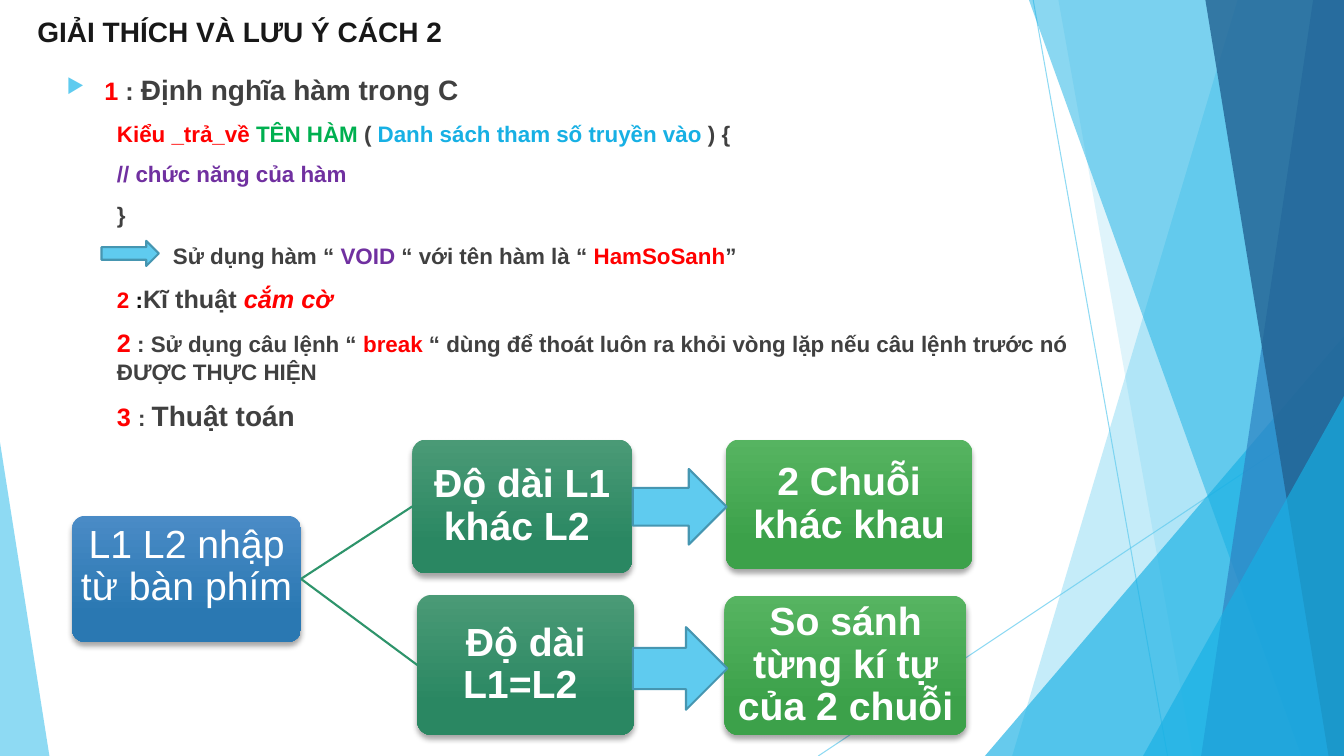
import lxml.etree
import pptx
import pptx.dml.color
import pptx.enum.shapes
import pptx.enum.text
import pptx.oxml.ns
import pptx.util

Pt = pptx.util.Pt
qn = pptx.oxml.ns.qn
SHAPES = pptx.enum.shapes.MSO_SHAPE
ANCHOR = pptx.enum.text.MSO_ANCHOR
CENTER = pptx.enum.text.PP_ALIGN.CENTER

FONT = "Arial"
WIDTH, HEIGHT = 960, 540
SKY, AZURE, RED, GRAY, PURPLE = "5FCBEF", "17B0E4", "FF0000", "404040", "7030A0"
BLUE_BOX = ("4A8BC6", "2A78B2")
TEAL_BOX = ("4A9A76", "2A8762")
GREEN_BOX = ("56B461", "3CA14A")

BODY = [
    (27, [("1", 18, RED), (" : ", 18, GRAY), ("Định nghĩa hàm trong C", 20, GRAY)]),
    (36, [("Kiểu _trả_về ", 16, RED), ("TÊN HÀM ", 16, "00B050"), ("( ", 16, GRAY),
          ("Danh sách tham số truyền vào", 16, AZURE), (" ) {", 16, GRAY)]),
    (36, [("// chức năng của hàm", 16, PURPLE)]),
    (36, [("}", 16, GRAY)]),
    (76, [("Sử dụng hàm “ ", 16, GRAY), ("VOID", 16, PURPLE),
          (" “ với tên hàm là “ ", 16, GRAY), ("HamSoSanh", 16, RED), ("”", 16, GRAY)]),
    (36, [("2 ", 16, RED), (":", 16, "0D0D0D"), ("Kĩ thuật ", 18, GRAY),
          ("cắm cờ", 18, RED)]),
    (36, [("2", 18, RED), (" ", 16, RED), (": Sử dụng câu lệnh “ ", 16, GRAY),
          ("break", 16, RED),
          (" “ dùng để thoát luôn ra khỏi vòng lặp nếu câu lệnh trước nó "
           "ĐƯỢC THỰC HIỆN", 16, GRAY)]),
    (36, [("3 ", 18, RED), (": ", 16, GRAY), ("Thuật toán", 20, GRAY)]),
]


def rgb(color):
    """Turn a hex string into a colour."""
    return pptx.dml.color.RGBColor.from_string(color)


def add_element(parent, tag, **attributes):
    """Append a drawing element with the given attributes."""
    element = lxml.etree.SubElement(parent, qn(tag))
    for name, value in attributes.items():
        element.set(name, str(value))
    return element


def set_opacity(shape, percent):
    """Make the first colour of a shape partly transparent."""
    color = shape._element.spPr.find(".//" + qn("a:srgbClr"))
    add_element(color, "a:alpha", val=percent * 1000)


def paint_facet(shape, color, opacity):
    """Give a decorative facet its see-through fill and no outline."""
    shape.shadow.inherit = False
    shape.fill.solid()
    shape.fill.fore_color.rgb = rgb(color)
    shape.line.fill.background()
    set_opacity(shape, opacity)


def add_band(slide, top_x, bottom_x, color, opacity):
    """Draw a full-height band from a slanted left edge to the slide's right."""
    builder = slide.shapes.build_freeform(Pt(top_x), 0)
    corners = [(WIDTH, 0), (WIDTH, HEIGHT), (bottom_x, HEIGHT)]
    builder.add_line_segments([(Pt(x), Pt(y)) for x, y in corners], close=True)
    paint_facet(builder.convert_to_shape(), color, opacity)


def add_corner(slide, left, top, width, apex, color, opacity):
    """Draw a right triangle that stands on the slide's bottom edge."""
    shape = slide.shapes.add_shape(SHAPES.ISOSCELES_TRIANGLE, Pt(left), Pt(top),
                                   Pt(width), Pt(HEIGHT - top))
    shape.adjustments[0] = apex
    paint_facet(shape, color, opacity)


def add_line(slide, start, end, color, weight):
    """Draw a straight line without a shadow."""
    line = slide.shapes.add_connector(
        pptx.enum.shapes.MSO_CONNECTOR.STRAIGHT,
        Pt(start[0]), Pt(start[1]), Pt(end[0]), Pt(end[1]))
    line.line.color.rgb = rgb(color)
    line.line.width = Pt(weight)
    add_element(line._element.spPr, "a:effectLst")
    return line


def add_backdrop(slide):
    """Draw the faceted decoration at both sides of the slide."""
    for start, end in [((738, 0), (834, HEIGHT)), ((WIDTH, 290), (584.5, HEIGHT))]:
        set_opacity(add_line(slide, start, end, SKY, 0.75), 70)
    add_band(slide, 884, 723, SKY, 36)
    add_band(slide, 756, 852, SKY, 20)
    add_corner(slide, 703.5, 240, 256.5, 1, AZURE, 66)
    add_band(slide, 735, 929.5, AZURE, 50)
    add_band(slide, 938, 858, "2E83C3", 70)
    add_band(slide, 861, 949, "226292", 80)
    add_corner(slide, 816.5, 283, 143.5, 1, AZURE, 66)
    add_corner(slide, 0, 316, 35.3, 0, SKY, 70)


def format_title(slide, text):
    """Place and fill the title placeholder."""
    title = slide.shapes.title
    title.left, title.top, title.width, title.height = Pt(19.5), Pt(6.5), Pt(677), Pt(47.5)
    frame = title.text_frame
    frame.text = text
    frame.vertical_anchor = ANCHOR.TOP
    paragraph = frame.paragraphs[0]
    paragraph.alignment = pptx.enum.text.PP_ALIGN.LEFT
    style_font(paragraph.font, 20, "181818", True)


def style_font(font, size, color, bold):
    """Set the face, size, colour and weight of a font."""
    font.name = FONT
    font.size = Pt(size)
    font.bold = bold
    font.color.rgb = rgb(color)


def add_bullet(paragraph, indent):
    """Give a paragraph a small triangle as hanging bullet."""
    properties = paragraph._p.get_or_add_pPr()
    properties.set("indent", str(-Pt(indent)))
    add_element(add_element(properties, "a:buClr"), "a:srgbClr", val=SKY)
    add_element(properties, "a:buSzPct", val=80000)
    add_element(properties, "a:buChar", char="▶")


def add_body(slide):
    """Write the explanation, one paragraph per row of BODY."""
    frame = slide.shapes.add_textbox(Pt(40.5), Pt(48), Pt(762), Pt(487)).text_frame
    frame.word_wrap = True
    for index, (margin, pieces) in enumerate(BODY):
        paragraph = frame.add_paragraph() if index else frame.paragraphs[0]
        paragraph._p.get_or_add_pPr().set("marL", str(Pt(margin)))
        if index == 0:
            add_bullet(paragraph, margin)
        paragraph.space_before = Pt(10)
        paragraph.font.name = FONT
        paragraph.font.bold = True
        for text, size, color in pieces:
            run = paragraph.add_run()
            run.text = text
            run.font.size = Pt(size)
            run.font.color.rgb = rgb(color)
            if text == "cắm cờ":
                run.font.italic = True


def add_box(slide, text, left, top, width, height, colors, bold=True, anchor=ANCHOR.MIDDLE):
    """Draw a rounded flow box with gradient, shadow and white text."""
    box = slide.shapes.add_shape(SHAPES.ROUNDED_RECTANGLE, Pt(left), Pt(top),
                                 Pt(width), Pt(height))
    box.adjustments[0] = 0.1
    box.fill.gradient()
    box.fill.gradient_angle = 270
    for stop, color, position in zip(box.fill.gradient_stops, colors, (0, 0.78)):
        stop.color.rgb = rgb(color)
        stop.position = position
    box.line.fill.background()
    box.shadow.inherit = False
    effects = box._element.spPr.find(qn("a:effectLst"))
    shadow = add_element(effects, "a:outerShdw", blurRad=Pt(4), dist=Pt(3),
                         dir=5400000, rotWithShape=0)
    add_element(add_element(shadow, "a:srgbClr", val="000000"), "a:alpha", val=35000)
    frame = box.text_frame
    frame.word_wrap = True
    frame.vertical_anchor = anchor
    frame.margin_left = frame.margin_right = frame.margin_top = frame.margin_bottom = Pt(3.5)
    frame.text = text
    paragraph = frame.paragraphs[0]
    paragraph.alignment = CENTER
    paragraph.line_spacing = 0.9
    style_font(paragraph.font, 28, "FFFFFF", bold)
    return box


def add_arrow(slide, left, top, width, height):
    """Draw a block arrow that points right."""
    arrow = slide.shapes.add_shape(SHAPES.RIGHT_ARROW, Pt(left), Pt(top),
                                   Pt(width), Pt(height))
    arrow.shadow.inherit = False
    arrow.fill.solid()
    arrow.fill.fore_color.rgb = rgb(SKY)
    arrow.line.color.rgb = rgb("4696B1")
    arrow.line.width = Pt(1.5)


def add_flow(slide):
    """Draw the input box, its two cases and their outcomes."""
    source = add_box(slide, "L1 L2 nhập từ bàn phím", 51.5, 368.5, 163.5, 90,
                     BLUE_BOX, False, ANCHOR.TOP)
    cases = [
        ("Độ dài L1 khác L2 ", (294.5, 314, 157, 95.5),
         "2 Chuỗi khác khau", (518.5, 314, 176, 92.5), (452, 335, 67, 54)),
        ("Độ dài L1=L2 ", (298, 425, 155, 100),
         "So sánh từng kí tự của 2 chuỗi ", (517.5, 425.5, 173, 99.5), (452, 448, 67.5, 59)),
    ]
    for condition, condition_area, outcome, outcome_area, arrow_area in cases:
        case = add_box(slide, condition, *condition_area, TEAL_BOX)
        add_box(slide, outcome, *outcome_area, GREEN_BOX)
        branch = add_line(slide, (0, 0), (1, 1), "2E946B", 1.5)
        branch.begin_connect(source, 3)
        branch.end_connect(case, 1)
        add_arrow(slide, *arrow_area)


def main():
    """Build the slide and save it."""
    presentation = pptx.Presentation()
    presentation.slide_width, presentation.slide_height = Pt(WIDTH), Pt(HEIGHT)
    slide = presentation.slides.add_slide(presentation.slide_layouts[5])
    add_backdrop(slide)
    format_title(slide, "GIẢI THÍCH VÀ LƯU Ý CÁCH 2")
    add_body(slide)
    add_arrow(slide, 72.5, 172, 41, 18)
    add_flow(slide)
    presentation.save("out.pptx")


if __name__ == "__main__":
    main()
